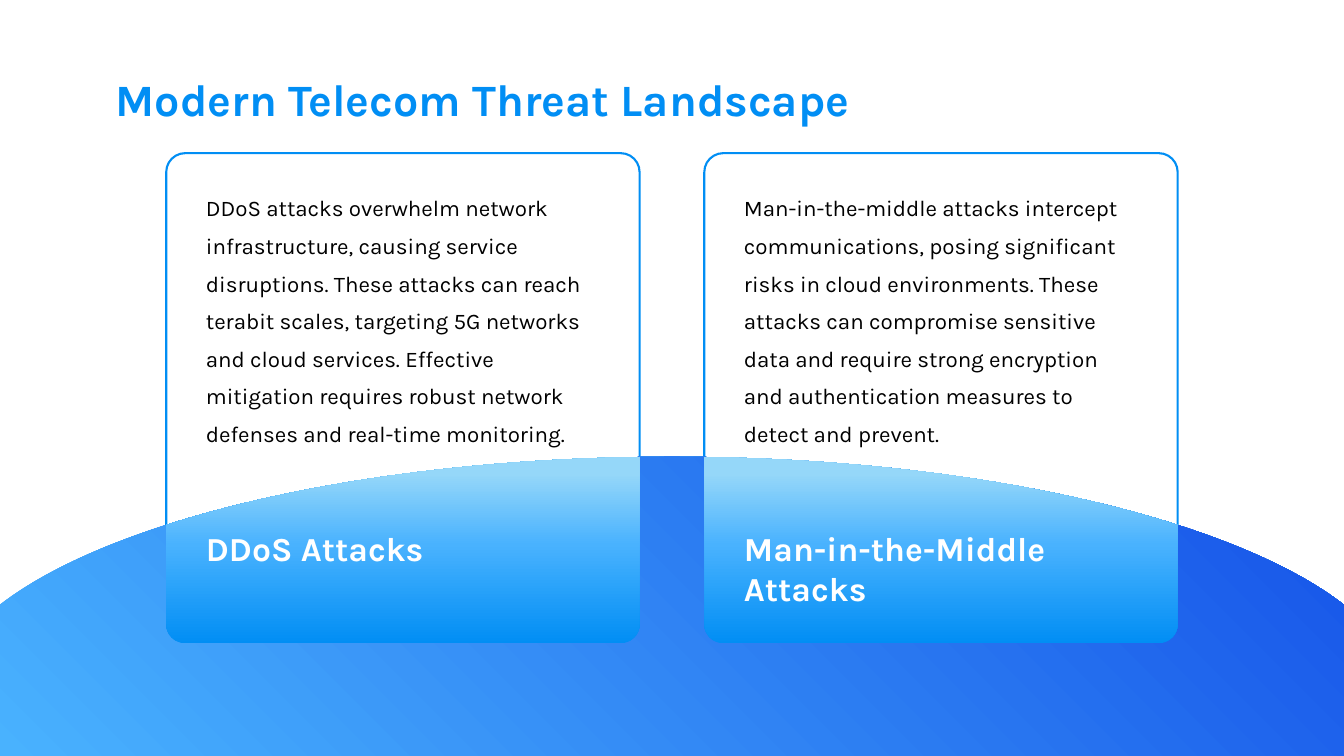
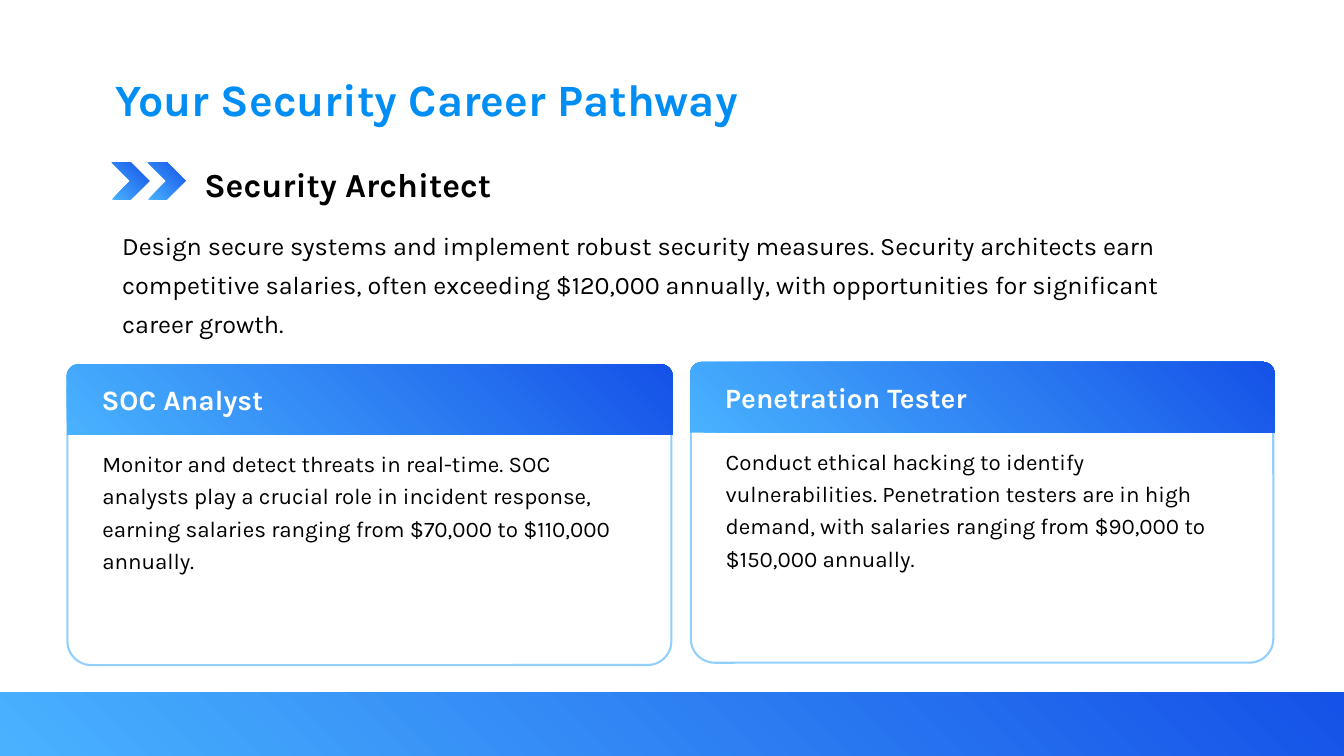
from dataclasses import dataclass

from lxml.etree import SubElement
from pptx import Presentation
from pptx.dml.color import RGBColor
from pptx.enum.shapes import MSO_SHAPE
from pptx.enum.text import MSO_AUTO_SIZE
from pptx.oxml.ns import qn
from pptx.util import Cm, Pt

HUES = {
    "blue": "018EF4",
    "sky": "49B2FE",
    "deep": "1552E8",
    "pale": "95D7F9",
    "white": "FFFFFF",
    "black": "000000",
}
FONT = "Karla"
WIDE, HIGH = 33.87, 19.05
SLANT = (45, ((0, "sky"), (100, "deep")))
FADE = (135, ((0, "blue"), (91, "sky"), (100, "sky")))
RISE = (90, ((0, "blue"), (53, "sky"), (91, "pale"), (100, "pale")))

Point = tuple[float, float]
Steps = list[tuple[Point, ...]]  # one point for a line, three for a curve


@dataclass(frozen=True)
class Box:
    left: float
    top: float
    width: float
    height: float

    def cm(self) -> tuple:
        return Cm(self.left), Cm(self.top), Cm(self.width), Cm(self.height)


@dataclass(frozen=True)
class Style:
    size: int
    hue: str
    bold: bool = False
    pitch: float | None = None


@dataclass(frozen=True)
class Card:
    box: Box
    head: str
    body: str


TITLE = Style(32, "blue", True)
SLOPE = ((0, 15.24), (2.82, 13.06), (9.35, 11.51), (WIDE / 2, 11.51))


def color(name: str) -> RGBColor:
    return RGBColor.from_string(HUES[name])


def blend(shape, mix: tuple) -> None:
    """Fill a shape with a gradient given as (angle, stops)."""
    angle, stops = mix
    shape.fill.gradient()
    shape.fill.gradient_angle = angle
    track = shape._element.find(".//" + qn("a:gsLst"))
    for old in list(track):
        track.remove(old)
    for place, hue in stops:
        stop = SubElement(track, qn("a:gs"), pos=str(place * 1000))
        SubElement(stop, qn("a:srgbClr"), val=HUES[hue])
    shape.line.fill.background()
    shape.shadow.inherit = False


def block(slide, kind: MSO_SHAPE, box: Box, mix: tuple = SLANT) -> None:
    blend(slide.shapes.add_shape(kind, *box.cm()), mix)


def frame(slide, box: Box, curve: float, hue: str, alpha: int = 100) -> None:
    """Draw a white card with rounded corners and a thin outline."""
    shape = slide.shapes.add_shape(MSO_SHAPE.ROUNDED_RECTANGLE, *box.cm())
    shape.adjustments[0] = curve
    shape.shadow.inherit = False
    shape.fill.solid()
    shape.fill.fore_color.rgb = color("white")
    shape.line.color.rgb = color(hue)
    shape.line.width = Pt(1.5)
    if alpha < 100:
        tint = shape.line._ln.find(".//" + qn("a:srgbClr"))
        SubElement(tint, qn("a:alpha"), val=str(alpha * 1000))


def write(slide, box: Box, text: str, style: Style) -> None:
    field = slide.shapes.add_textbox(*box.cm()).text_frame
    field.word_wrap = True
    field.auto_size = MSO_AUTO_SIZE.SHAPE_TO_FIT_TEXT
    para = field.paragraphs[0]
    if style.pitch:
        para.line_spacing = style.pitch
    run = para.add_run()
    run.text = text
    run.font.name = FONT
    run.font.size = Pt(style.size)
    run.font.bold = style.bold
    run.font.color.rgb = color(style.hue)


def outline(slide, first: Point, steps: Steps, mix: tuple) -> None:
    """Draw a closed outline; steps of three points become curves."""
    pen = slide.shapes.build_freeform(Cm(first[0]), Cm(first[1]), scale=1.0)
    pen.add_line_segments([(Cm(x), Cm(y)) for step in steps for x, y in step])
    shape = pen.convert_to_shape()
    lines = iter(shape._element.findall(".//" + qn("a:lnTo")))
    for step in steps:
        group = [next(lines) for _ in step]
        if len(group) == 3:
            group[0].tag = qn("a:cubicBezTo")
            for extra in group[1:]:
                group[0].append(extra[0])
                extra.getparent().remove(extra)
    blend(shape, mix)


def flip(dots) -> tuple[Point, ...]:
    """Mirror a curve about the middle of the slide, keeping left to right."""
    return tuple((WIDE - x, y) for x, y in reversed(dots))


def split(dots, t: float) -> tuple[tuple, tuple]:
    """Cut a curve in two at t."""
    head, tail = [], []
    while dots:
        head.append(dots[0])
        tail.insert(0, dots[-1])
        dots = [(ax + (bx - ax) * t, ay + (by - ay) * t)
                for (ax, ay), (bx, by) in zip(dots, dots[1:])]
    return tuple(head), tuple(tail)


def cut(dots, x: float) -> tuple[tuple, tuple]:
    """Cut a curve in two where it meets x."""
    low, high = 0.0, 1.0
    for _ in range(40):
        mid = (low + high) / 2
        if split(dots, mid)[0][-1][0] < x:
            low = mid
        else:
            high = mid
    return split(dots, low)


def hill(slide) -> None:
    steps = [SLOPE[1:], flip(SLOPE)[1:], ((WIDE, HIGH),), ((0, HIGH),),
             (SLOPE[0],)]
    outline(slide, SLOPE[0], steps, SLANT)


def foot(slide, box: Box, curve: float) -> None:
    """Shade the part of a card that lies below the hill line."""
    left, right = box.left, box.left + box.width
    base = box.top + box.height
    rad = curve * box.width
    arc = SLOPE if right < WIDE / 2 else flip(SLOPE)
    crest = cut(cut(arc, right)[0], left)[1]
    bend = rad * 0.45
    steps = [
        crest[1:],
        ((right, base - rad),),
        ((right, base - bend), (right - bend, base), (right - rad, base)),
        ((left + rad, base),),
        ((left + bend, base), (left, base - bend), (left, base - rad)),
        (crest[0],),
    ]
    outline(slide, crest[0], steps, RISE)


def start(deck, title: str, mix: tuple):
    """Add a slide with its title and bottom band."""
    slide = deck.slides.add_slide(deck.slide_layouts[6])
    write(slide, Box(2.67, 1.68, 27.23, 1.4), title, TITLE)
    block(slide, MSO_SHAPE.RECTANGLE, Box(0, 17.46, WIDE, 1.59), mix)
    return slide


def threats(deck) -> None:
    slide = start(deck, "Modern Telecom Threat Landscape", FADE)
    curve = 0.04
    head, body = Style(24, "white", True), Style(16, "black", pitch=1.4)
    cards = [
        Card(Box(4.19 + 13.56 * i, 3.86, 11.93, 12.35), *words)
        for i, words in enumerate((
            ("DDoS Attacks",
             "DDoS attacks overwhelm network infrastructure, causing service "
             "disruptions. These attacks can reach terabit scales, targeting 5G "
             "networks and cloud services. Effective mitigation requires robust "
             "network defenses and real-time monitoring."),
            ("Man-in-the-Middle Attacks",
             "Man-in-the-middle attacks intercept communications, posing "
             "significant risks in cloud environments. These attacks can "
             "compromise sensitive data and require strong encryption and "
             "authentication measures to detect and prevent."),
        ))
    ]
    for card in cards:
        frame(slide, card.box, curve, "blue")
    hill(slide)
    for card in reversed(cards):
        foot(slide, card.box, curve)
    for card, tall in zip(cards, (1.02, 2.16)):
        left, width = card.box.left + 0.75, card.box.width - 1.49
        write(slide, Box(left, 13.18, width, tall), card.head, head)
        write(slide, Box(left, 4.51, width, 6.63), card.body, body)


def careers(deck) -> None:
    slide = start(deck, "Your Security Career Pathway", SLANT)
    for i in range(2):
        block(slide, MSO_SHAPE.CHEVRON, Box(2.82 + 0.91 * i, 4.09, 0.94, 0.94))
    head, body = Style(20, "white", True), Style(16, "black", pitch=1.2)
    cards = (
        Card(Box(1.7, 9.23, 15.22, 7.53), "SOC Analyst",
             "Monitor and detect threats in real-time. SOC analysts play a "
             "crucial role in incident response, earning salaries ranging from "
             "$70,000 to $110,000 annually."),
        Card(Box(17.41, 9.17, 14.68, 7.53), "Penetration Tester",
             "Conduct ethical hacking to identify vulnerabilities. Penetration "
             "testers are in high demand, with salaries ranging from $90,000 to "
             "$150,000 annually."),
    )
    for card in cards:
        box = card.box
        frame(slide, box, 0.08, "sky", 60)
        block(slide, MSO_SHAPE.ROUND_2_SAME_RECTANGLE,
              Box(box.left - 0.02, box.top - 0.05, box.width + 0.05, 1.78))
    write(slide, Box(4.9, 4.01, 24.31, 1.02), "Security Architect",
          Style(24, "black", True))
    write(slide, Box(2.83, 5.44, 27.2, 2.97),
          "Design secure systems and implement robust security measures. "
          "Security architects earn competitive salaries, often exceeding "
          "$120,000 annually, with opportunities for significant career growth.",
          Style(18, "black", pitch=1.3))
    for card in cards:
        left, top, width = card.box.left, card.box.top, card.box.width
        write(slide, Box(left + 0.61, top + 0.29, width - 1.22, 0.86),
              card.head, head)
        write(slide, Box(left + 0.63, top + 1.86, width - 1.27, 3.25),
              card.body, body)


def main() -> None:
    deck = Presentation()
    deck.slide_width, deck.slide_height = Cm(WIDE), Cm(HIGH)
    threats(deck)
    careers(deck)
    deck.save("out.pptx")


if __name__ == "__main__":
    main()
